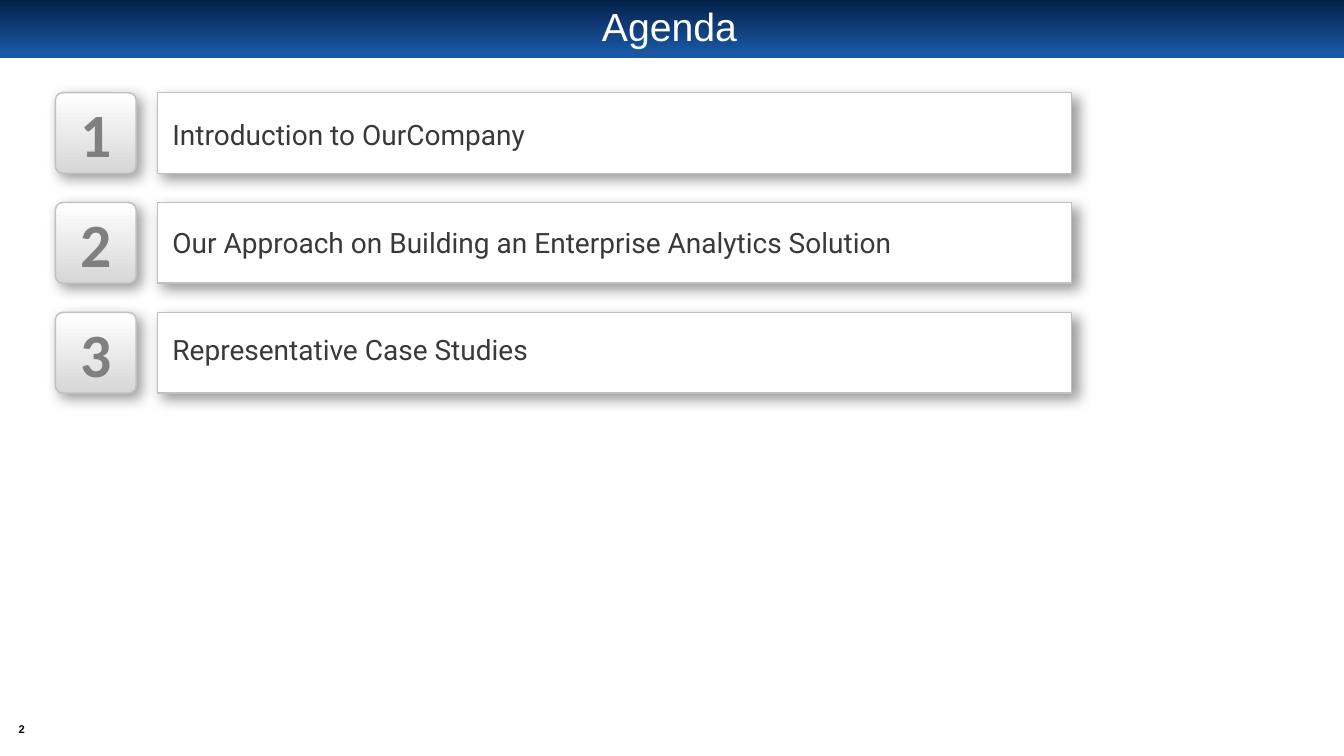
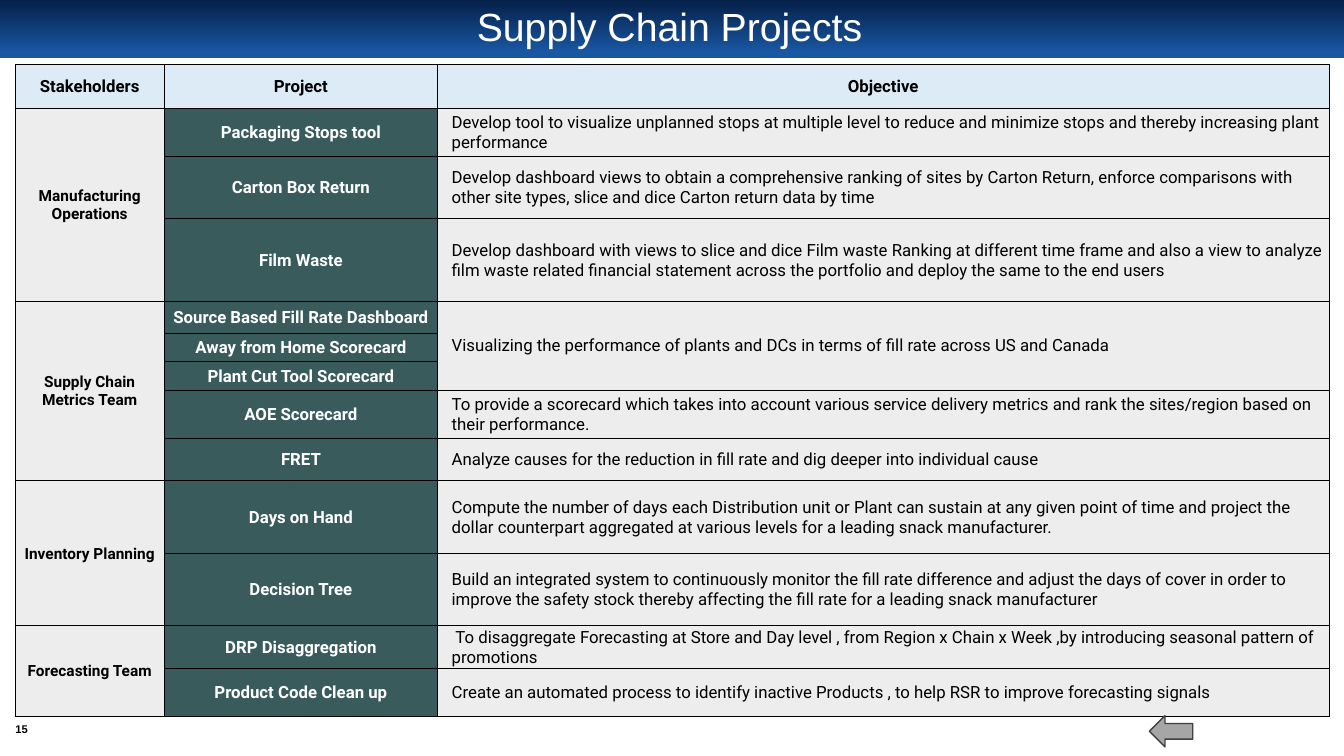
"""Build the agenda slide and the supply chain projects slide."""
import dataclasses

import lxml.etree
import pptx
import pptx.dml.color
import pptx.enum.shapes
import pptx.enum.text
import pptx.oxml
import pptx.oxml.ns
import pptx.util

Inches = pptx.util.Inches
Pt = pptx.util.Pt
SHAPE = pptx.enum.shapes.MSO_SHAPE
ALIGN = pptx.enum.text.PP_ALIGN
MIDDLE = pptx.enum.text.MSO_ANCHOR.MIDDLE


@dataclasses.dataclass(frozen=True)
class Theme:
    """Colours, fonts and type sizes of the deck."""
    band_top: str = "052049"
    band_bottom: str = "1957A3"
    white: str = "FFFFFF"
    black: str = "000000"
    silver: str = "C0C0C0"
    tile_grey: str = "D7D7D7"
    number_grey: str = "808080"
    agenda_text: str = "3B3838"
    header_fill: str = "DDEBF7"
    project_fill: str = "395B5C"
    plain_fill: str = "EDEDED"
    arrow_fill: str = "A6A6A6"
    arrow_line: str = "404040"
    title_font: str = "Arial"
    number_font: str = "Calibri"
    body_font: str = "Roboto"
    title_size: int = 28
    number_size: int = 44
    agenda_size: int = 20
    table_size: int = 12
    stakeholder_size: int = 11
    page_size: int = 8


THEME = Theme()

AGENDA = [
    "Introduction to OurCompany",
    "Our Approach on Building an Enterprise Analytics Solution",
    "Representative Case Studies",
]

HEADINGS = ("Stakeholders", "Project", "Objective")
HEADING_HEIGHT = 0.43
COLUMN_WIDTHS = (1.48, 2.71, 8.84)

PROJECTS = [
    (0.48, "Manufacturing Operations", "Packaging Stops tool",
     "Develop tool to visualize unplanned stops at multiple level to reduce and minimize stops "
     "and thereby increasing plant performance"),
    (0.62, "", "Carton Box Return",
     "Develop dashboard views to obtain a comprehensive ranking of sites by Carton Return, enforce "
     "comparisons with other site types, slice and dice Carton return data by time"),
    (0.82, "", "Film Waste",
     "Develop dashboard with views to slice and dice Film waste Ranking at different time frame and "
     "also a view to analyze film waste related financial statement across the portfolio and deploy "
     "the same to the end users"),
    (0.32, "Supply Chain Metrics Team", "Source Based Fill Rate Dashboard",
     "Visualizing the performance of plants and DCs in terms of fill rate across US and Canada"),
    (0.28, "", "Away from Home Scorecard", ""),
    (0.28, "", "Plant Cut Tool Scorecard", ""),
    (0.48, "", "AOE Scorecard",
     "To provide a scorecard which takes into account various service delivery metrics and rank the "
     "sites/region based on their performance."),
    (0.42, "", "FRET",
     "Analyze causes for the reduction in fill rate and dig deeper into individual cause"),
    (0.72, "Inventory Planning", "Days on Hand",
     "Compute the number of days each Distribution unit or Plant can sustain at any given point of "
     "time and project the dollar counterpart aggregated at various levels for a leading snack "
     "manufacturer."),
    (0.72, "", "Decision Tree",
     "Build an integrated system to continuously monitor the fill rate difference and adjust the days "
     "of cover in order to improve the safety stock thereby affecting the fill rate for a leading "
     "snack manufacturer"),
    (0.42, "Forecasting Team", "DRP Disaggregation",
     " To disaggregate Forecasting at Store and Day level , from Region x Chain x Week ,by introducing "
     "seasonal pattern of promotions"),
    (0.48, "", "Product Code Clean up",
     "Create an automated process to identify inactive Products , to help RSR to improve forecasting "
     "signals"),
]


def rgb(value):
    """Turn a hex string into a colour."""
    return pptx.dml.color.RGBColor.from_string(value)


def write(frame, text, *, size, font, color, bold=False, align=ALIGN.LEFT, spacing=None, indent=0):
    """Put one formatted paragraph into a text frame."""
    para = frame.paragraphs[0]
    para.alignment = align
    if spacing:
        para.line_spacing = spacing
    if indent:
        properties = para._p.get_or_add_pPr()
        properties.set("marL", str(Inches(indent)))
        properties.set("indent", "0")
    span = para.add_run()
    span.text = text
    span.font.size = Pt(size)
    span.font.name = font
    span.font.bold = bold
    span.font.color.rgb = rgb(color)


def clear_margins(frame):
    """Centre a frame's text vertically, without margins."""
    frame.margin_left = frame.margin_right = frame.margin_top = frame.margin_bottom = 0
    frame.vertical_anchor = MIDDLE


def add_text(page, text, left, top, width, height, *, wrap=True, **style):
    """Add a text box without margins."""
    box = page.shapes.add_textbox(Inches(left), Inches(top), Inches(width), Inches(height))
    box.text_frame.word_wrap = wrap
    clear_margins(box.text_frame)
    write(box.text_frame, text, **style)


def add_box(page, kind, left, top, width, height, *, fill, line=None):
    """Add a preset shape with a plain fill and no shadow."""
    box = page.shapes.add_shape(kind, Inches(left), Inches(top), Inches(width), Inches(height))
    box.shadow.inherit = False
    box.fill.solid()
    box.fill.fore_color.rgb = rgb(fill)
    if line:
        box.line.color.rgb = rgb(line)
        box.line.width = Pt(1)
    else:
        box.line.fill.background()
    return box


def set_gradient(box, first, last, *, angle, end=1.0):
    """Fill a shape with a linear gradient of two colours."""
    box.fill.gradient()
    box.fill.gradient_angle = angle
    for stop, color, position in zip(box.fill.gradient_stops, (first, last), (0, end)):
        stop.color.rgb = rgb(color)
        stop.position = position


def cast_shadow(box):
    """Give a shape a soft shadow to the lower right."""
    effects = box.element.spPr.find(pptx.oxml.ns.qn("a:effectLst"))
    effects.append(pptx.oxml.parse_xml(
        f'<a:outerShdw {pptx.oxml.ns.nsdecls("a")} blurRad="{Pt(10)}" dist="{Pt(5)}" '
        f'dir="2700000" algn="tl" rotWithShape="0"><a:srgbClr val="{THEME.black}">'
        '<a:alpha val="40000"/></a:srgbClr></a:outerShdw>'))


def add_page(deck, title, number):
    """Add a slide with its title and page number."""
    page = deck.slides.add_slide(deck.slide_layouts[5])
    heading = page.shapes.title
    heading.left, heading.top = Inches(0.66), Inches(0.06)
    heading.width, heading.height = Inches(11.96), Inches(0.45)
    heading.text_frame.vertical_anchor = MIDDLE
    heading.text_frame.auto_size = pptx.enum.text.MSO_AUTO_SIZE.NONE
    write(heading.text_frame, title, size=THEME.title_size, font=THEME.title_font,
          color=THEME.white, align=ALIGN.CENTER, spacing=0.9)
    add_text(page, number, 0.09, 7.14, 0.25, 0.19, wrap=False, size=THEME.page_size,
             font=THEME.title_font, color=THEME.black, bold=True, align=ALIGN.CENTER)
    return page


def add_layout_band(page):
    """Draw the title band and move it to the layout, which all slides share."""
    band = add_box(page, SHAPE.RECTANGLE, 0, 0, 13.33, 0.58, fill=THEME.band_top)
    set_gradient(band, THEME.band_top, THEME.band_bottom, angle=270, end=0.9)
    page.slide_layout.shapes.element.insert(2, band.element)


def add_agenda_item(page, index, text):
    """Add a numbered tile with its card."""
    top = 0.92 + 1.09 * index
    card = add_box(page, SHAPE.RECTANGLE, 1.56, top, 9.07, 0.8, fill=THEME.white, line=THEME.silver)
    tile = add_box(page, SHAPE.ROUNDED_RECTANGLE, 0.55, top, 0.8, 0.8,
                   fill=THEME.white, line=THEME.silver)
    tile.adjustments[0] = 0.09
    set_gradient(tile, THEME.tile_grey, THEME.white, angle=90)
    for box in (card, tile):
        cast_shadow(box)
    clear_margins(tile.text_frame)
    write(tile.text_frame, str(index + 1), size=THEME.number_size, font=THEME.number_font,
          color=THEME.number_grey, bold=True, align=ALIGN.CENTER)
    add_text(page, text, 1.71, 1.16 + 1.07 * index, 10.19, 0.34, size=THEME.agenda_size,
             font=THEME.body_font, color=THEME.agenda_text)


def format_cell(cell, fill):
    """Give a cell its borders, margins and fill."""
    properties = cell._tc.get_or_add_tcPr()
    for side in ("lnL", "lnR", "lnT", "lnB"):
        border = lxml.etree.SubElement(properties, pptx.oxml.ns.qn(f"a:{side}"), w=str(Pt(0.5)))
        solid = lxml.etree.SubElement(border, pptx.oxml.ns.qn("a:solidFill"))
        lxml.etree.SubElement(solid, pptx.oxml.ns.qn("a:srgbClr"), val=THEME.black)
    cell.margin_left = cell.margin_right = cell.margin_top = Inches(0.01)
    cell.margin_bottom = 0
    cell.vertical_anchor = MIDDLE
    cell.fill.solid()
    cell.fill.fore_color.rgb = rgb(fill)


def merge_blanks(table, column, texts):
    """Merge each filled body cell with the blank ones below it."""
    starts = [row for row, text in enumerate(texts, 1) if text] + [len(texts) + 1]
    for start, following in zip(starts, starts[1:]):
        if following - start > 1:
            table.cell(start, column).merge(table.cell(following - 1, column))


def add_project_table(page):
    """Add the table of stakeholders, projects and objectives."""
    heights = [HEADING_HEIGHT] + [project[0] for project in PROJECTS]
    rows = [HEADINGS] + [project[1:] for project in PROJECTS]
    table = page.shapes.add_table(len(rows), len(HEADINGS), Inches(0.15), Inches(0.64),
                                  Inches(sum(COLUMN_WIDTHS)), Inches(sum(heights))).table
    table.horz_banding = table.first_row = False
    for column, width in zip(table.columns, COLUMN_WIDTHS):
        column.width = Inches(width)
    for row, height in zip(table.rows, heights):
        row.height = Inches(height)

    centred = dict(size=THEME.table_size, font=THEME.body_font, color=THEME.black,
                   bold=True, align=ALIGN.CENTER)
    column_styles = (
        (THEME.plain_fill, centred | dict(size=THEME.stakeholder_size)),
        (THEME.project_fill, centred | dict(color=THEME.white)),
        (THEME.plain_fill, centred | dict(bold=False, align=ALIGN.LEFT, indent=0.13)),
    )
    for row_index, texts in enumerate(rows):
        for column_index, text in enumerate(texts):
            fill, style = column_styles[column_index] if row_index else (THEME.header_fill, centred)
            cell = table.cell(row_index, column_index)
            format_cell(cell, fill)
            if text:
                write(cell.text_frame, text, **style)
    for column_index in (0, 2):
        merge_blanks(table, column_index, [texts[column_index] for texts in rows[1:]])


def main():
    """Build and save the deck."""
    deck = pptx.Presentation()
    deck.slide_width, deck.slide_height = Inches(13.33), Inches(7.5)

    agenda = add_page(deck, "Agenda", "2")
    add_layout_band(agenda)
    for index, text in enumerate(AGENDA):
        add_agenda_item(agenda, index, text)

    projects = add_page(deck, "Supply Chain Projects", "15")
    add_project_table(projects)
    add_box(projects, SHAPE.LEFT_ARROW, 11.4, 7.1, 0.43, 0.31,
            fill=THEME.arrow_fill, line=THEME.arrow_line)

    deck.save("out.pptx")


if __name__ == "__main__":
    main()
